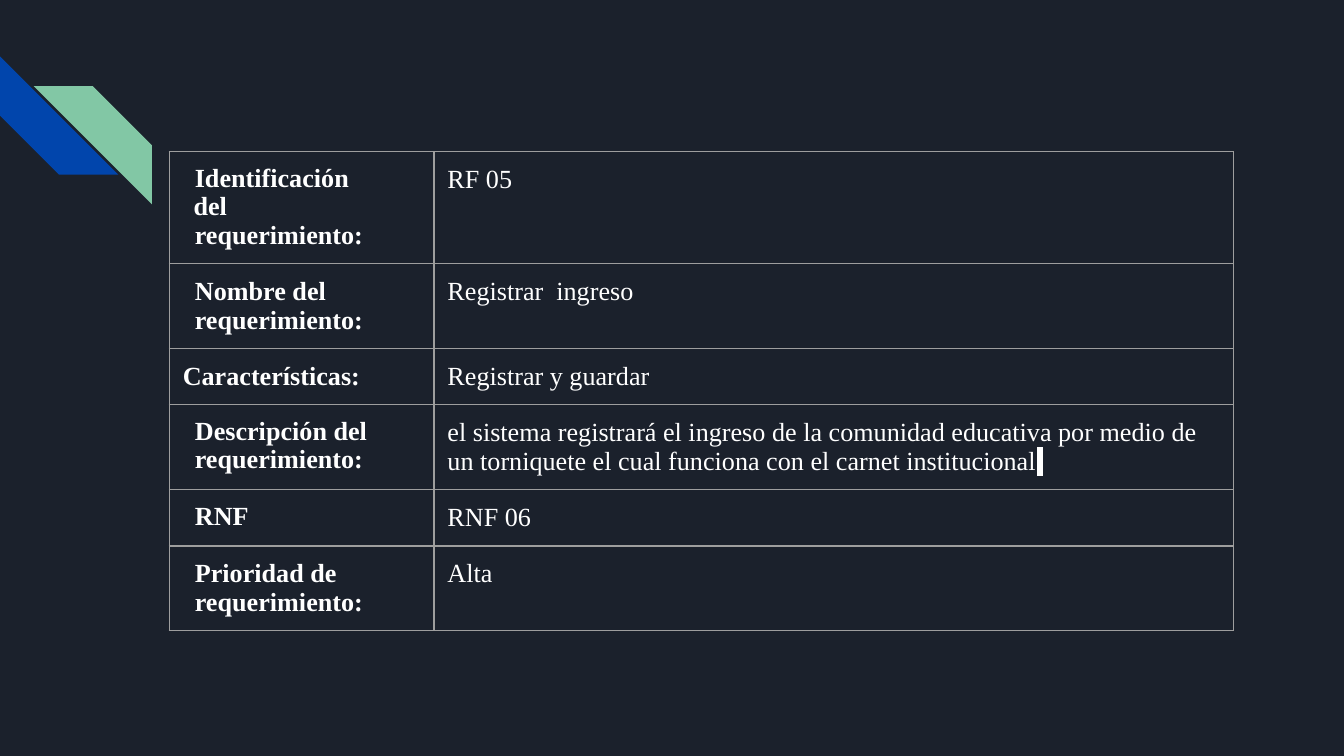
from lxml.etree import SubElement
from pptx import Presentation
from pptx.dml.color import RGBColor
from pptx.enum.shapes import MSO_SHAPE
from pptx.oxml import parse_xml
from pptx.oxml.ns import nsdecls, qn
from pptx.util import Inches, Pt

COLORS = {
    "background": "1B212C",
    "blue": "0145AC",
    "green": "82C7A5",
    "border": "9E9E9E",
    "text": "FFFFFF",
}
FONT = {"name": "Times New Roman", "size": Pt(14)}
COLUMN_WIDTHS = (1.97, 5.95)
ROW_HEIGHT = 0.42
INSET = 0.1
WRAP_INSET = 0.35
PLAIN = (0, 0)
INDENTED = (0.09, 0)
HANGING = (0.08, 0.01)

REQUIREMENT = [
    (["Identificación  del", "requerimiento:"], [HANGING, INDENTED], 0.96, "RF 05"),
    (["Nombre del", "requerimiento:"], [INDENTED] * 2, None, "Registrar  ingreso"),
    (["Características:"], [PLAIN], None, "Registrar y guardar"),
    (["Descripción del  requerimiento:"], [INDENTED], 0.96,
     "el sistema registrará el ingreso de la comunidad educativa por medio de "
     "un torniquete el cual funciona con el carnet institucional"),
    (["RNF"], [INDENTED], 0.96, "RNF 06"),
    (["Prioridad de", "requerimiento:"], [INDENTED] * 2, None, "Alta"),
]
DESCRIPTION_ROW = 3


def rgb(name):
    return RGBColor.from_string(COLORS[name])


def add_stripes(slide, left, top, size):
    stripes = (("blue", 0, 0, 270), ("green", 0.25, 0.22, 90))
    for color, dx, dy, rotation in stripes:
        stripe = slide.shapes.add_shape(
            MSO_SHAPE.DIAGONAL_STRIPE, Inches(left + dx), Inches(top + dy),
            Inches(size), Inches(size))
        stripe.rotation = rotation
        stripe.shadow.inherit = False
        stripe.fill.solid()
        stripe.fill.fore_color.rgb = rgb(color)
        stripe.line.fill.background()


def add_run(paragraph, text, bold):
    run = paragraph.add_run()
    run.text = text
    for attribute, value in {**FONT, "bold": bold}.items():
        setattr(run.font, attribute, value)
    run.font.color.rgb = rgb("text")
    return run


def highlight(run, color):
    mark = parse_xml(f'<a:highlight {nsdecls("a")}>'
                     f'<a:srgbClr val="{COLORS[color]}"/></a:highlight>')
    run.font._element.find(qn("a:solidFill")).addnext(mark)


def format_cell(cell):
    for side in ("left", "right", "top", "bottom"):
        setattr(cell, f"margin_{side}", Inches(INSET))
    properties = cell._tc.get_or_add_tcPr()
    for edge in ("lnL", "lnR", "lnT", "lnB"):
        line = SubElement(properties, qn(f"a:{edge}"), w=str(Pt(0.75)))
        fill = SubElement(line, qn("a:solidFill"))
        SubElement(fill, qn("a:srgbClr"), val=COLORS["border"])
    cell.fill.background()


def fill_label(cell, lines, indents, spacing):
    if spacing:
        cell.margin_right = Inches(WRAP_INSET)
    frame = cell.text_frame
    for index, (text, (margin, first)) in enumerate(zip(lines, indents)):
        paragraph = frame.add_paragraph() if index else frame.paragraphs[0]
        properties = paragraph._p.get_or_add_pPr()
        properties.set("marL", str(Inches(margin)))
        properties.set("indent", str(Inches(first)))
        if spacing and index == 0:
            paragraph.line_spacing = spacing
        elif spacing:
            paragraph.space_before = Pt(0.3)
        add_run(paragraph, text, True)


def add_requirement_table(slide, left, top):
    table = slide.shapes.add_table(
        len(REQUIREMENT), len(COLUMN_WIDTHS), Inches(left), Inches(top),
        Inches(sum(COLUMN_WIDTHS)), Inches(ROW_HEIGHT * len(REQUIREMENT))).table
    table.first_row = table.horz_banding = False
    for column, width in zip(table.columns, COLUMN_WIDTHS):
        column.width = Inches(width)
    for index, (lines, indents, spacing, detail) in enumerate(REQUIREMENT):
        label_cell, detail_cell = table.rows[index].cells
        format_cell(label_cell)
        format_cell(detail_cell)
        fill_label(label_cell, lines, indents, spacing)
        paragraph = detail_cell.text_frame.paragraphs[0]
        add_run(paragraph, detail, False)
        if index == DESCRIPTION_ROW:
            highlight(add_run(paragraph, " ", False), "text")


def main():
    deck = Presentation()
    deck.slide_width = Inches(10)
    deck.slide_height = Inches(10 * 9 / 16)
    slide = deck.slides.add_slide(deck.slide_layouts[6])
    slide.background.fill.solid()
    slide.background.fill.fore_color.rgb = rgb("background")
    add_stripes(slide, 0, 0.42, 0.88)
    add_requirement_table(slide, 1.26, 1.13)
    deck.save("out.pptx")


if __name__ == "__main__":
    main()
